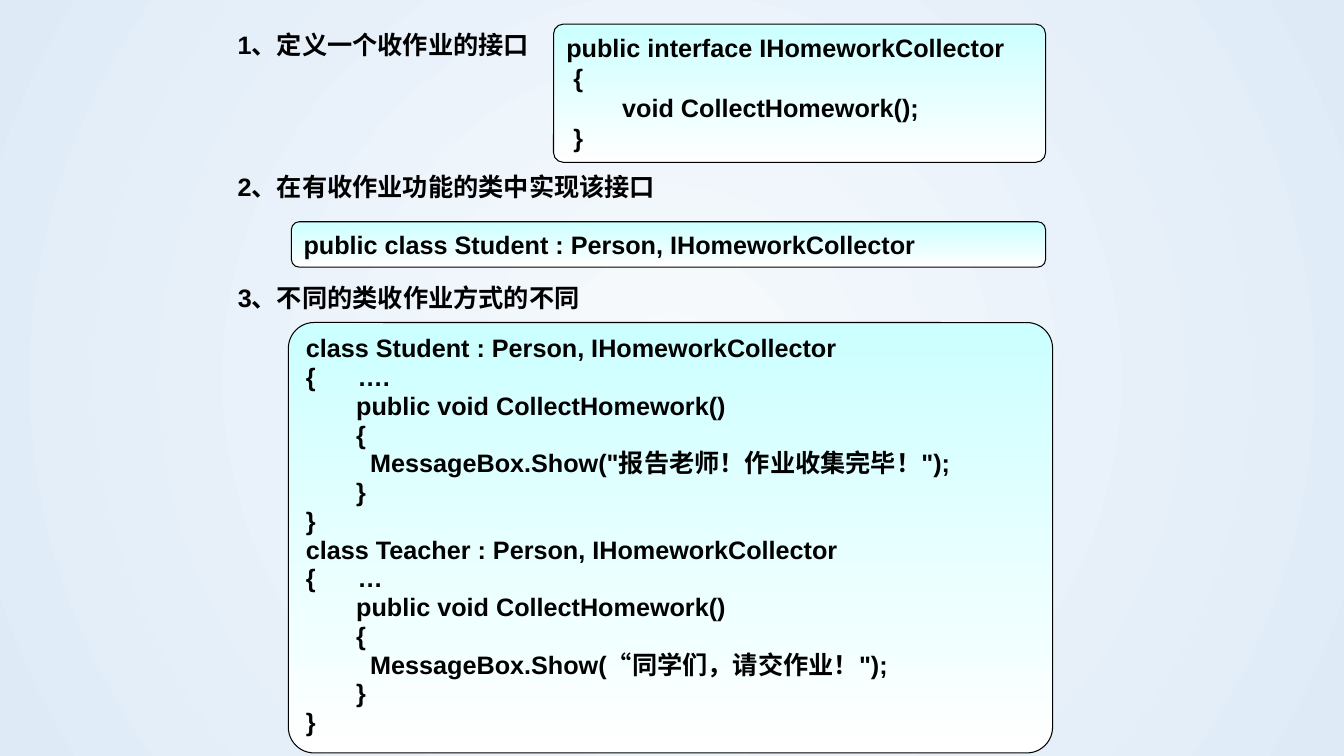
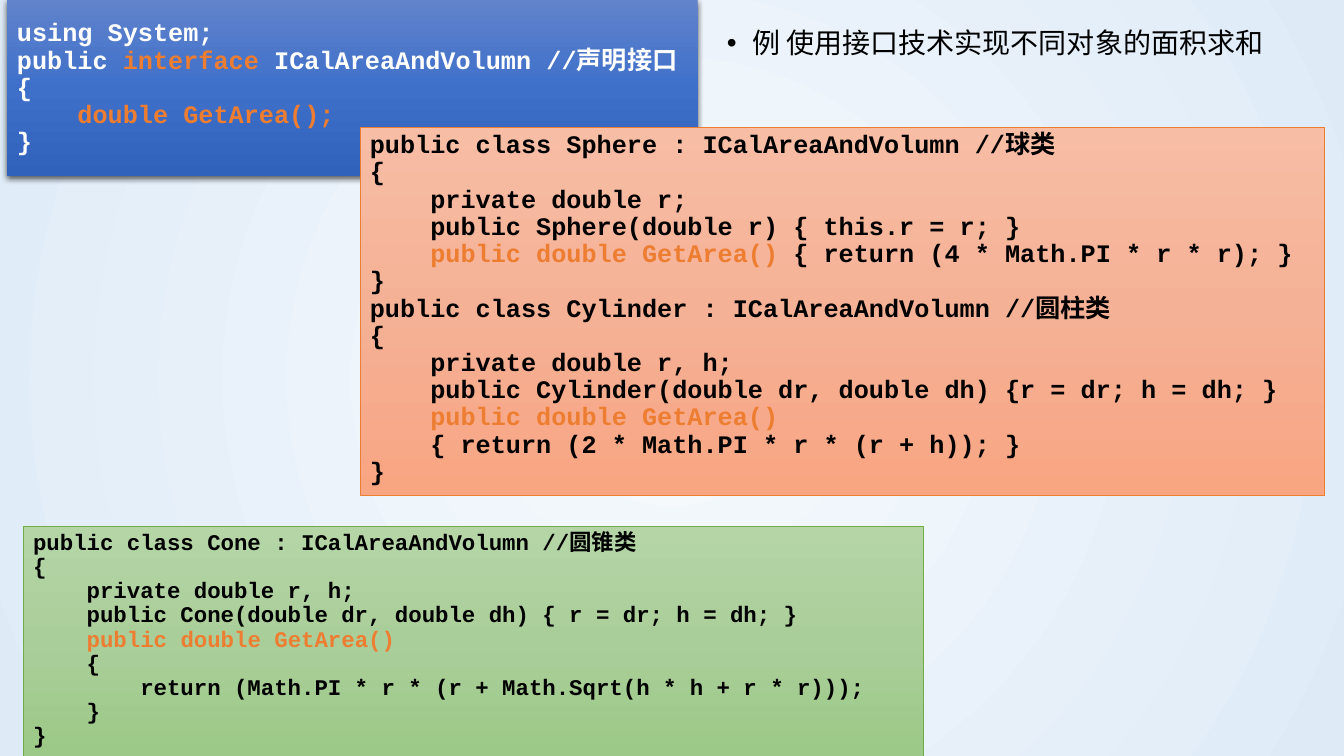
"""Build two slides that explain interfaces with code panels."""
import dataclasses
import typing

import lxml.etree
import pptx
import pptx.dml.color
import pptx.enum.shapes
import pptx.enum.text
import pptx.oxml.ns
import pptx.presentation
import pptx.slide
import pptx.text.text
import pptx.util

Inches = pptx.util.Inches
Pt = pptx.util.Pt
qn = pptx.oxml.ns.qn

BLACK, WHITE, ORANGE = "000000", "FFFFFF", "ED7D31"
SANS, MONO, CJK = "Arial", "Courier New", "Noto Sans CJK SC"
BACKDROP = ("F7FAFD", "DEEBF7")
AQUA = ("CCFFFF", WHITE)
BLUE = ("6183CB", "3E70CA", "3062BB")
PEACH = ("F7BDA5", "F5B196", "F8A582")
GREEN = ("B5D5A7", "AACE9A", "9CC987")
MARK = "`"


@dataclasses.dataclass(frozen=True)
class Style:
    """Describe how lines of text look."""

    font: str
    size: float = 18
    color: str = BLACK
    bold: bool = True
    spacing: typing.Optional[float] = None


@dataclasses.dataclass(frozen=True)
class Panel:
    """Describe a code panel whose backquoted words are accented."""

    at: tuple[float, float, float, float]
    stops: tuple[str, ...]
    style: Style
    code: str
    line: typing.Optional[str] = None
    weight: float = 0.5
    corner: float = 0
    shadow: bool = False


@dataclasses.dataclass(frozen=True)
class Step:
    """Describe a numbered step heading."""

    top: float
    width: float
    text: str


PLAIN = Style(SANS)
TIGHT = Style(SANS, spacing=0.95)
CODE = Style(MONO, spacing=0.9)
LIGHT_CODE = dataclasses.replace(CODE, color=WHITE)
SMALL_CODE = dataclasses.replace(CODE, size=16)
EXAMPLE = Style(CJK, 20, bold=False, spacing=0.9)

STEP_PANELS = (
    Panel((5.49, 0.24, 4.88, 1.37), AQUA, PLAIN, """public interface IHomeworkCollector
 {
        void CollectHomework();
 }""", BLACK, 0.75, 0.07),
    Panel((2.89, 2.2, 7.48, 0.45), AQUA, PLAIN,
          "public class Student : Person, IHomeworkCollector", BLACK, 0.75, 0.17),
    Panel((2.86, 3.2, 7.58, 4.27), AQUA, TIGHT, """class Student : Person, IHomeworkCollector
{      ….
\tpublic void CollectHomework()
\t{
\t  MessageBox.Show("报告老师！作业收集完毕！");
\t}
}
class Teacher : Person, IHomeworkCollector
{      …
\tpublic void CollectHomework()
\t{
\t  MessageBox.Show(“同学们，请交作业！");
\t}
}""", BLACK, 0.75, 0.06),
)

STEPS = (
    Step(0.24, 3.47, "1、定义一个收作业的接口"),
    Step(1.65, 4.36, "2、在有收作业功能的类中实现该接口"),
    Step(2.75, 3.61, "3、不同的类收作业方式的不同"),
)

AREA_PANELS = (
    Panel((0.23, 5.22, 8.93, 2.28), GREEN, SMALL_CODE, """public class Cone : ICalAreaAndVolumn //圆锥类
{
    private double r, h;
    public Cone(double dr, double dh) { r = dr; h = dh; }
    `public double GetArea()`
    {
        return (Math.PI * r * (r + Math.Sqrt(h * h + r * r)));
    }
}""", "70AD47"),
    Panel((0.07, 0, 6.85, 1.75), BLUE, LIGHT_CODE, """using System;
public `interface` ICalAreaAndVolumn //声明接口
{
    `double GetArea();`
}""", shadow=True),
    Panel((3.57, 1.26, 9.57, 3.65), PEACH, CODE, """public class Sphere : ICalAreaAndVolumn //球类
{
    private double r;
    public Sphere(double r) { this.r = r; }
    `public double GetArea()` { return (4 * Math.PI * r * r); }
}
public class Cylinder : ICalAreaAndVolumn //圆柱类
{
    private double r, h;
    public Cylinder(double dr, double dh) {r = dr; h = dh; }
    `public double GetArea()`
    { return (2 * Math.PI * r * (r + h)); }
}""", ORANGE),
)


def rgb(color: str) -> pptx.dml.color.RGBColor:
    """Turn a hex string into a colour."""
    return pptx.dml.color.RGBColor.from_string(color)


def add_node(parent: typing.Any, tag: str, **attrs: typing.Any) -> typing.Any:
    """Append a drawing element with attributes."""
    values = {key: str(value) for key, value in attrs.items()}
    return lxml.etree.SubElement(parent, qn(tag), values)


def set_gradient(owner: typing.Any, stops: tuple[str, ...], radial: bool = False) -> None:
    """Replace the solid fill of an element by evenly spaced stops."""
    solid = owner.find(qn("a:solidFill"))
    grad = add_node(owner, "a:gradFill", rotWithShape=1)
    owner.replace(solid, grad)
    gs_list = add_node(grad, "a:gsLst")
    for i, color in enumerate(stops):
        gs = add_node(gs_list, "a:gs", pos=100000 * i // (len(stops) - 1))
        add_node(gs, "a:srgbClr", val=color)
    if radial:
        circle = add_node(grad, "a:path", path="circle")
        add_node(circle, "a:fillToRect", l=50000, t=50000, r=50000, b=50000)
    else:
        add_node(grad, "a:lin", ang=5400000, scaled=0)


def add_run(p: typing.Any, text: str, style: Style, color: str) -> None:
    """Add one formatted run to a paragraph."""
    r = p.add_run()
    r.text = text
    r.font.size, r.font.bold, r.font.name = Pt(style.size), style.bold, style.font
    r.font.color.rgb = rgb(color)
    add_node(r._r.get_or_add_rPr(), "a:ea", typeface=CJK)


def write(tf: pptx.text.text.TextFrame, text: str, style: Style) -> None:
    """Write lines, accenting marked words and indenting tabbed lines."""
    tf.word_wrap = True
    for i, line in enumerate(text.split("\n")):
        p = tf.add_paragraph() if i else tf.paragraphs[0]
        p.alignment = pptx.enum.text.PP_ALIGN.LEFT
        if style.spacing:
            p.line_spacing = style.spacing
        if line.startswith("\t"):
            p._p.get_or_add_pPr().set("marL", str(Inches(0.5)))
        for j, part in enumerate(line.lstrip("\t").split(MARK)):
            if part:
                add_run(p, part, style, ORANGE if j % 2 else style.color)


def add_panel(s: pptx.slide.Slide, panel: Panel) -> None:
    """Draw a gradient panel holding code."""
    kinds = pptx.enum.shapes.MSO_SHAPE
    kind = kinds.ROUNDED_RECTANGLE if panel.corner else kinds.RECTANGLE
    sp = s.shapes.add_shape(kind, *map(Inches, panel.at))
    if panel.corner:
        sp.adjustments[0] = panel.corner
    sp.fill.solid()
    set_gradient(sp._element.spPr, panel.stops)
    if panel.line:
        sp.line.color.rgb = rgb(panel.line)
        sp.line.width = Pt(panel.weight)
    else:
        sp.line.fill.background()
    sp.shadow.inherit = False
    if panel.shadow:
        effects = sp._element.spPr.find(qn("a:effectLst"))
        outer = add_node(effects, "a:outerShdw", blurRad=Pt(4.5), dist=Pt(1.5),
                         dir=5400000, algn="ctr", rotWithShape=0)
        color = add_node(outer, "a:srgbClr", val=BLACK)
        add_node(color, "a:alpha", val=63000)
    tf = sp.text_frame
    anchors, sizes = pptx.enum.text.MSO_ANCHOR, pptx.enum.text.MSO_AUTO_SIZE
    tf.vertical_anchor = anchors.MIDDLE if panel.shadow else anchors.TOP
    tf.auto_size = sizes.NONE if panel.shadow else sizes.SHAPE_TO_FIT_TEXT
    write(tf, panel.code, panel.style)


def add_step(s: pptx.slide.Slide, step: Step) -> None:
    """Add a numbered step heading."""
    sp = s.shapes.add_textbox(*map(Inches, (2.26, step.top, step.width, 0.4)))
    write(sp.text_frame, step.text, PLAIN)


def add_example(s: pptx.slide.Slide, text: str) -> None:
    """Fill the body placeholder with one bulleted line."""
    title = s.shapes.title.element
    title.getparent().remove(title)
    sp = s.placeholders[1]
    sp.left, sp.top, sp.width, sp.height = map(Inches, (7.11, 0.24, 6.23, 0.47))
    write(sp.text_frame, text, EXAMPLE)
    p = sp.text_frame.paragraphs[0]
    p.space_before = Pt(10)
    pPr = p._p.get_or_add_pPr()
    pPr.set("marL", str(Inches(0.25)))
    pPr.set("indent", str(Inches(-0.25)))
    add_node(pPr, "a:buFont", typeface=SANS)
    add_node(pPr, "a:buChar", char="•")


def set_backdrop(prs: pptx.presentation.Presentation) -> None:
    """Give the master a radial background."""
    master = prs.slide_master
    master.background.fill.solid()
    set_gradient(master.element.find(".//" + qn("p:bgPr")), BACKDROP, radial=True)


def main() -> None:
    """Build and save the slides."""
    prs = pptx.Presentation()
    prs.slide_width, prs.slide_height = Inches(13.33), Inches(7.5)
    set_backdrop(prs)

    s = prs.slides.add_slide(prs.slide_layouts[6])
    for panel in STEP_PANELS:
        add_panel(s, panel)
    for step in STEPS:
        add_step(s, step)

    s = prs.slides.add_slide(prs.slide_layouts[1])
    add_example(s, "例 使用接口技术实现不同对象的面积求和")
    for panel in AREA_PANELS:
        add_panel(s, panel)

    prs.save("out.pptx")


if __name__ == "__main__":
    main()
